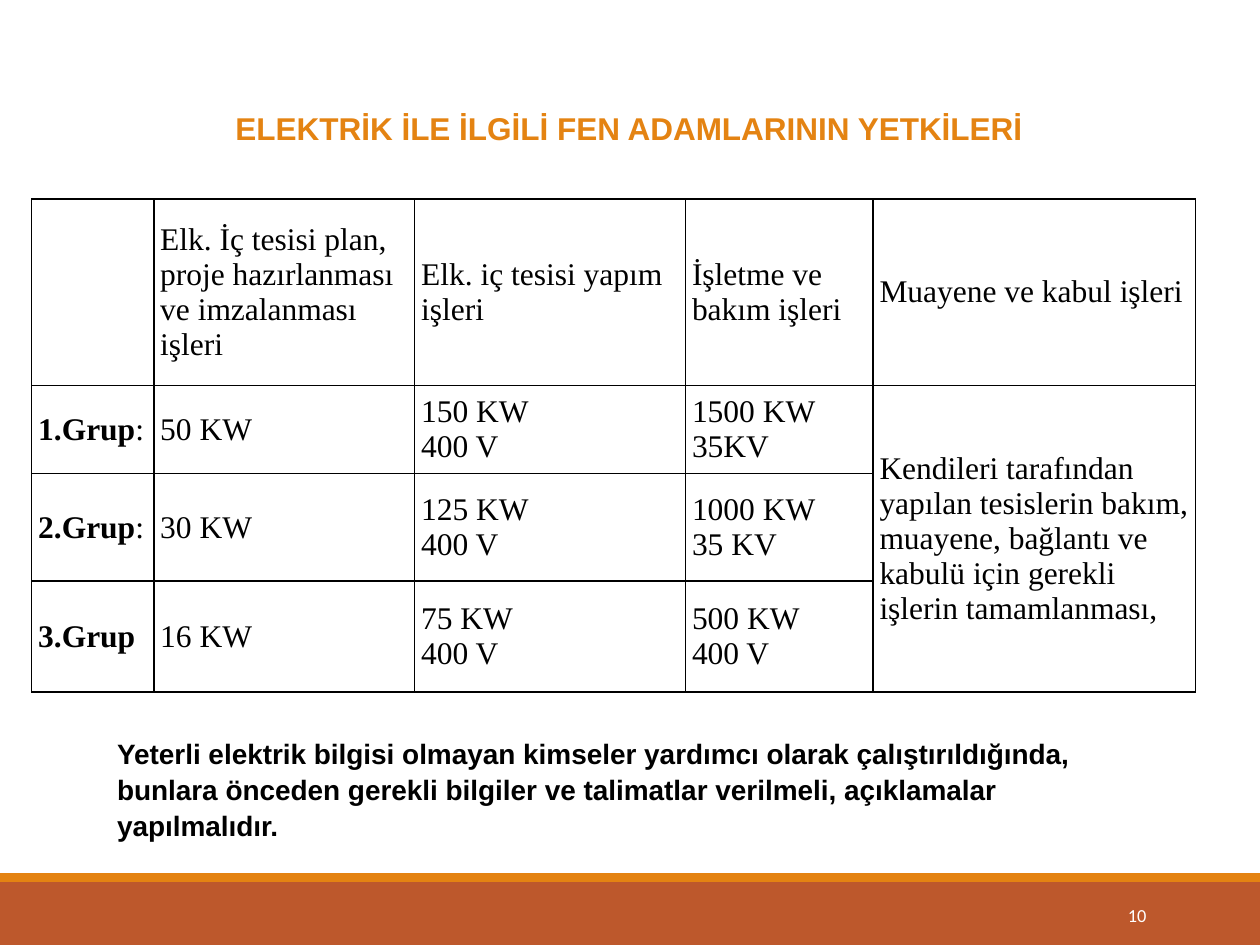
from lxml import etree
from pptx import Presentation
from pptx.dml.color import RGBColor
from pptx.enum.shapes import MSO_SHAPE
from pptx.enum.text import MSO_ANCHOR, PP_ALIGN
from pptx.oxml.ns import qn
from pptx.util import Cm, Pt

RECTANGLE = MSO_SHAPE.RECTANGLE
MIDDLE, TOP = MSO_ANCHOR.MIDDLE, MSO_ANCHOR.TOP
LEFT, CENTER, RIGHT = PP_ALIGN.LEFT, PP_ALIGN.CENTER, PP_ALIGN.RIGHT

BLACK = RGBColor(0x00, 0x00, 0x00)
WHITE = RGBColor(0xFF, 0xFF, 0xFF)
ORANGE = RGBColor(0xE4, 0x83, 0x12)
RUST = RGBColor(0xBD, 0x58, 0x2C)

COLUMN_WIDTHS = (2.46, 5.26, 5.46, 3.78, 6.5)
ROW_HEIGHTS = (3.76, 1.78, 2.16, 2.24)
HEADERS = (
    "",
    "Elk. İç tesisi plan, proje hazırlanması ve imzalanması işleri",
    "Elk. iç tesisi yapım işleri",
    "İşletme ve bakım işleri",
    "Muayene ve kabul işleri",
)
# Group, mark after it, then limits for planning, installation and operation
GROUPS = (
    ("1.Grup", ":", "50 KW", "150 KW\n400 V", "1500 KW\n35KV"),
    ("2.Grup", ":", "30 KW", "125 KW\n400 V", "1000 KW\n35 KV"),
    ("3.Grup", "", "16 KW", "75 KW\n400 V", "500 KW\n400 V"),
)
INSPECTION = ("Kendileri tarafından yapılan tesislerin bakım, muayene, "
              "bağlantı ve kabulü için gerekli işlerin tamamlanması,")
WARNING = ("Yeterli elektrik bilgisi olmayan kimseler yardımcı olarak "
           "çalıştırıldığında, bunlara önceden gerekli bilgiler ve talimatlar "
           "verilmeli, açıklamalar yapılmalıdır.")


def add_run(paragraph, text, font_name, size, color, bold=False):
    run = paragraph.add_run()
    run.text = text
    run.font.name = font_name
    run.font.size = Pt(size)
    run.font.bold = bold
    run.font.color.rgb = color


def add_band(slide, top, height, color):
    band = slide.shapes.add_shape(RECTANGLE, 0, Cm(top), Cm(25.4), Cm(height))
    band.shadow.inherit = False
    band.fill.solid()
    band.fill.fore_color.rgb = color
    band.line.fill.background()


def add_text(slide, box, text, font_name, size, color, bold=False,
             align=LEFT, anchor=MIDDLE):
    """Add a one-paragraph text box and return its text frame."""
    frame = slide.shapes.add_textbox(*map(Cm, box)).text_frame
    frame.word_wrap = True
    frame.vertical_anchor = anchor
    paragraph = frame.paragraphs[0]
    paragraph.alignment = align
    add_run(paragraph, text, font_name, size, color, bold)
    return frame


def add_title(slide):
    frame = add_text(slide, (1.9, 1.7, 20.32, 2.18),
                     "ELEKTRİK İLE İLGİLİ FEN ADAMLARININ YETKİLERİ",
                     "Arial", 18, ORANGE, True, CENTER, TOP)
    frame.margin_top = Cm(0.5)
    properties = frame.paragraphs[0]._p.get_or_add_pPr()
    properties.set("marL", "0")
    properties.set("indent", str(Cm(1.25)))


def set_borders(cell):
    properties = cell._tc.get_or_add_tcPr()
    for position, side in enumerate(("a:lnL", "a:lnR", "a:lnT", "a:lnB")):
        border = etree.Element(qn(side), w=str(Pt(1)))
        fill = etree.SubElement(border, qn("a:solidFill"))
        etree.SubElement(fill, qn("a:srgbClr"), val=str(BLACK))
        properties.insert(position, border)


def format_cell(cell):
    cell.fill.background()
    cell.vertical_anchor = MIDDLE
    cell.margin_left = cell.margin_right = Cm(0.13)
    cell.margin_top = cell.margin_bottom = 0
    set_borders(cell)


def write_cell(cell, text, bold=False):
    """Write each line of the text as its own paragraph."""
    frame = cell.text_frame
    for number, line in enumerate(text.split("\n")):
        paragraph = frame.add_paragraph() if number else frame.paragraphs[0]
        if line:
            add_run(paragraph, line, "Times New Roman", 18, BLACK, bold)


def add_authority_table(slide):
    table = slide.shapes.add_table(
        len(ROW_HEIGHTS), len(COLUMN_WIDTHS), Cm(0.64), Cm(4.01),
        Cm(sum(COLUMN_WIDTHS)), Cm(sum(ROW_HEIGHTS))).table
    table.first_row = table.horz_banding = False
    for column, width in zip(table.columns, COLUMN_WIDTHS):
        column.width = Cm(width)
    for row, height in zip(table.rows, ROW_HEIGHTS):
        row.height = Cm(height)
    for cell in table.iter_cells():
        format_cell(cell)

    for column, header in enumerate(HEADERS):
        write_cell(table.cell(0, column), header)
    for row, (group, mark, *limits) in enumerate(GROUPS, start=1):
        write_cell(table.cell(row, 0), group, bold=True)
        write_cell(table.cell(row, 0), mark)
        for column, limit in enumerate(limits, start=1):
            write_cell(table.cell(row, column), limit)
    inspection_cell = table.cell(1, 4)
    inspection_cell.merge(table.cell(3, 4))
    write_cell(inspection_cell, INSPECTION)


def main():
    presentation = Presentation()
    presentation.slide_width = Cm(25.4)
    presentation.slide_height = Cm(19.05)
    slide = presentation.slides.add_slide(presentation.slide_layouts[6])

    add_band(slide, 17.78, 1.27, RUST)
    add_band(slide, 17.6, 0.18, ORANGE)
    add_title(slide)
    add_authority_table(slide)
    warning = add_text(slide, (2.11, 14.73, 20.96, 2.31), WARNING,
                       "Arial", 16, BLACK, True)
    warning.paragraphs[0].line_spacing = 1.07
    add_text(slide, (20.62, 17.93, 2.74, 1.02), "10", "Calibri", 10.5, WHITE,
             align=RIGHT)

    presentation.save("out.pptx")


if __name__ == "__main__":
    main()
